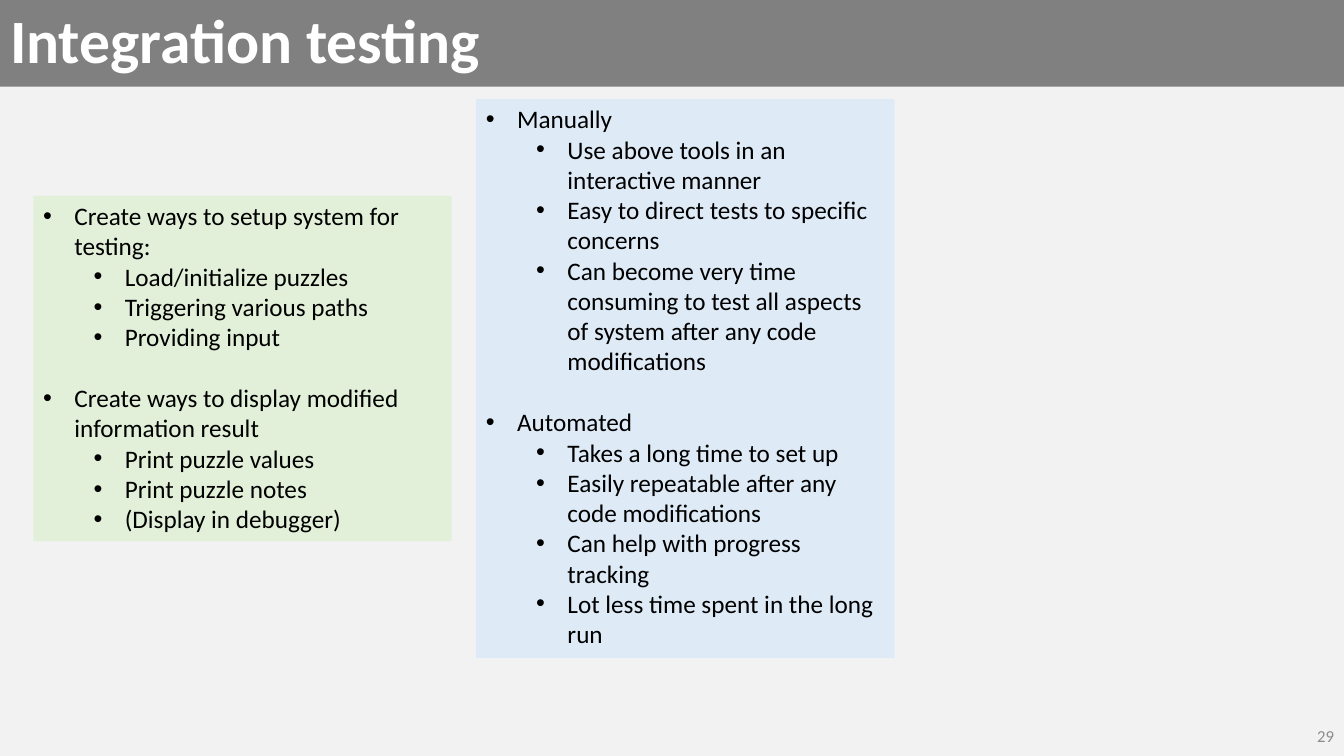
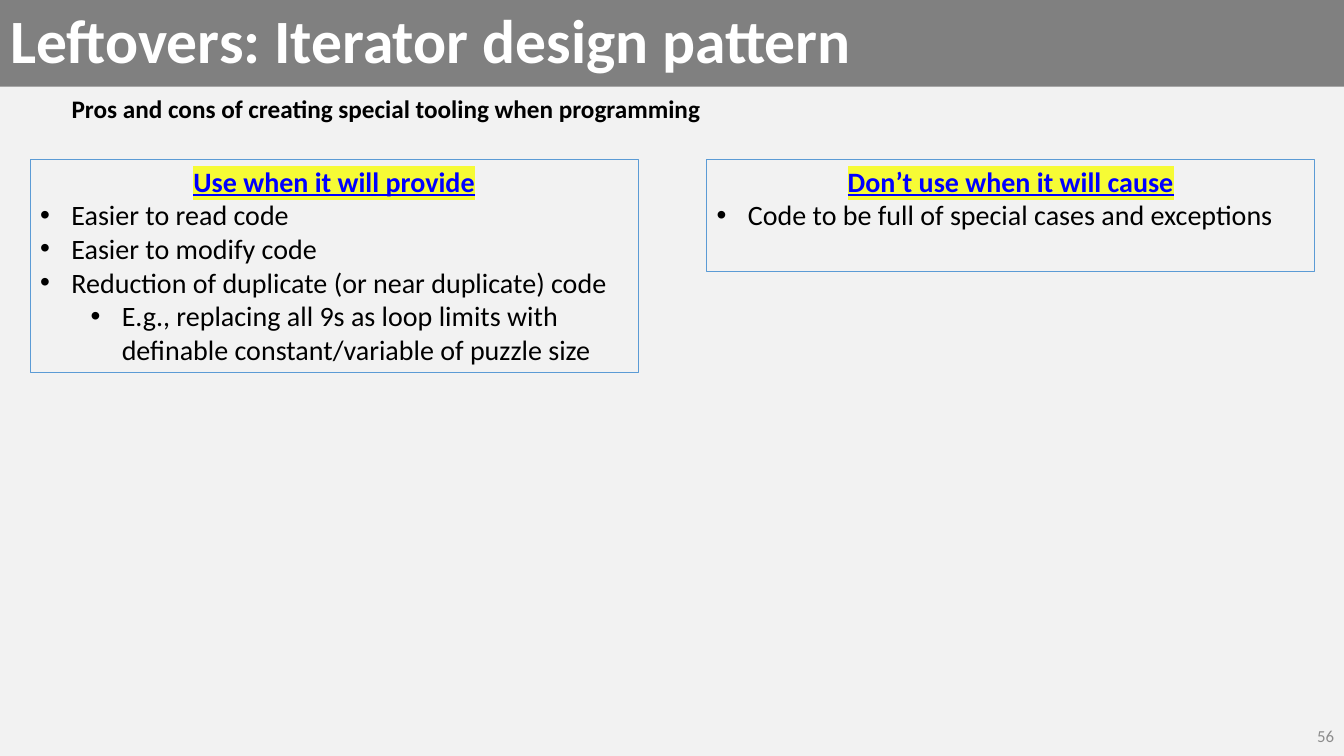
from dataclasses import dataclass
from pptx import Presentation, util as u
from pptx.dml.color import RGBColor
from pptx.enum import text as t
from pptx.oxml import parse_xml
from pptx.oxml.ns import nsdecls


@dataclass(frozen=True)
class Theme:
    font: str = "Calibri"
    back: str = "F2F2F2"
    band: str = "808080"
    white: str = "FFFFFF"
    ink: str = "000000"
    page: str = "8C8C8C"
    green: str = "E2F0D9"
    blue: str = "DEEBF7"
    edge: str = "5B9BD5"
    head: str = "0000FF"
    mark: str = "F6FB35"
    title: int = 44
    large: int = 20
    body: int = 18
    small: int = 12


T = Theme()
WIDE, HIGH = 13.33, 7.5
GAP = 22  # points between bullet groups, one body line

# Content: each panel holds groups of (bullet, sub-bullets)
SLIDES = [
    dict(title="Integration testing", page="29", panels=[
        dict(at=(0.33, 1.94, 4.15, 3.43), fill=T.green, groups=[
            ("Create ways to setup system for testing:",
             ["Load/initialize puzzles", "Triggering various paths",
              "Providing input"]),
            ("Create ways to display modified information result",
             ["Print puzzle values", "Print puzzle notes",
              "(Display in debugger)"]),
        ]),
        dict(at=(4.72, 0.98, 4.15, 5.55), fill=T.blue, groups=[
            ("Manually",
             ["Use above tools in an interactive manner",
              "Easy to direct tests to specific concerns",
              "Can become very time consuming to test all aspects of system "
              "after any code modifications"]),
            ("Automated",
             ["Takes a long time to set up",
              "Easily repeatable after any code modifications",
              "Can help with progress tracking",
              "Lot less time spent in the long run"]),
        ]),
    ]),
    dict(title="Leftovers: Iterator design pattern", page="56",
         lead="Pros and cons of creating special tooling when programming",
         panels=[
        dict(at=(0.3, 1.58, 6.03, 2.12), head="Use when it will provide", groups=[
            ("Easier to read code", []),
            ("Easier to modify code", []),
            ("Reduction of duplicate (or near duplicate) code",
             ["E.g., replacing all 9s as loop limits with definable "
              "constant/variable of puzzle size"]),
        ]),
        dict(at=(7.01, 1.58, 6.03, 1.11), head="Don’t use when it will cause", groups=[
            ("Code to be full of special cases and exceptions", []),
        ]),
    ]),
]


def rgb(code):
    return RGBColor.from_string(code)


def paint(fill, code):
    fill.solid()
    fill.fore_color.rgb = rgb(code)


def place(shape, at):
    for name, size in zip(("left", "top", "width", "height"), at):
        setattr(shape, name, u.Inches(size))


def frame(shape, anchor):
    box = shape.text_frame
    form = dict(word_wrap=True, auto_size=t.MSO_AUTO_SIZE.NONE,
                vertical_anchor=anchor)
    for name, value in form.items():
        setattr(box, name, value)
    return box


def write(para, words, size, color=T.ink, align=t.PP_ALIGN.LEFT, **form):
    para.alignment = align
    run = para.add_run()
    run.text = words
    form = dict(name=T.font, size=u.Pt(size), bold=False) | form
    for name, value in form.items():
        setattr(run.font, name, value)
    run.font.color.rgb = rgb(color)
    return run


def bullet(para, level):
    para.level = level
    props = para._p.get_or_add_pPr()
    props.set("marL", str(u.Inches(0.31 + 0.5 * level)))
    props.set("indent", str(u.Inches(-0.31)))
    for part in ('buFont {} typeface="Arial"', 'buChar {} char="•"'):
        props.append(parse_xml(f"<a:{part.format(nsdecls('a'))}/>"))


def mark(run):
    fill = run._r.rPr.find("{*}solidFill")
    fill.addnext(parse_xml(f'<a:highlight {nsdecls("a")}>'
                           f'<a:srgbClr val="{T.mark}"/></a:highlight>'))


def label(slide, at, words, size, anchor=t.MSO_ANCHOR.TOP, **form):
    shape = slide.shapes.add_textbox(*map(u.Inches, at))
    write(frame(shape, anchor).paragraphs[0], words, size, **form)


def panel(slide, at, groups, fill=None, head=None):
    shape = slide.shapes.add_textbox(*map(u.Inches, at))
    box = frame(shape, t.MSO_ANCHOR.TOP)
    size = T.large if head else T.body
    para = box.paragraphs[0]
    if fill:
        paint(shape.fill, fill)
    if head:
        shape.line.color.rgb = rgb(T.edge)
        shape.line.width = u.Pt(0.75)
        mark(write(para, head, size, T.head, t.PP_ALIGN.CENTER,
                   bold=True, underline=True))
    for group, (lead, subs) in enumerate(groups):
        for row, words in enumerate([lead, *subs]):
            if para.runs:
                para = box.add_paragraph()
            bullet(para, min(row, 1))
            if group and not row and not head:
                para.space_before = u.Pt(GAP)
            write(para, words, size)


def build(deck, title, page, panels, lead=None):
    slide = deck.slides.add_slide(deck.slide_layouts[5])
    # Title band
    band = slide.shapes.title
    place(band, (0, 0, WIDE, 0.86))
    paint(band.fill, T.band)
    para = frame(band, t.MSO_ANCHOR.MIDDLE).paragraphs[0]
    para.line_spacing = 0.9
    write(para, title, T.title, T.white, bold=True)
    # Page number
    label(slide, (WIDE - 3, HIGH - 0.4, 3, 0.4), page, T.small,
          t.MSO_ANCHOR.MIDDLE, color=T.page, align=t.PP_ALIGN.RIGHT)
    # Body
    for item in panels:
        panel(slide, **item)
    if lead:
        label(slide, (0.46, 0.88, 6.74, 0.4), lead, T.body,
              align=t.PP_ALIGN.CENTER, bold=True)


def main():
    deck = Presentation()
    deck.slide_width, deck.slide_height = u.Inches(WIDE), u.Inches(HIGH)
    paint(deck.slide_master.background.fill, T.back)
    for data in SLIDES:
        build(deck, **data)
    deck.save("out.pptx")


if __name__ == "__main__":
    main()
